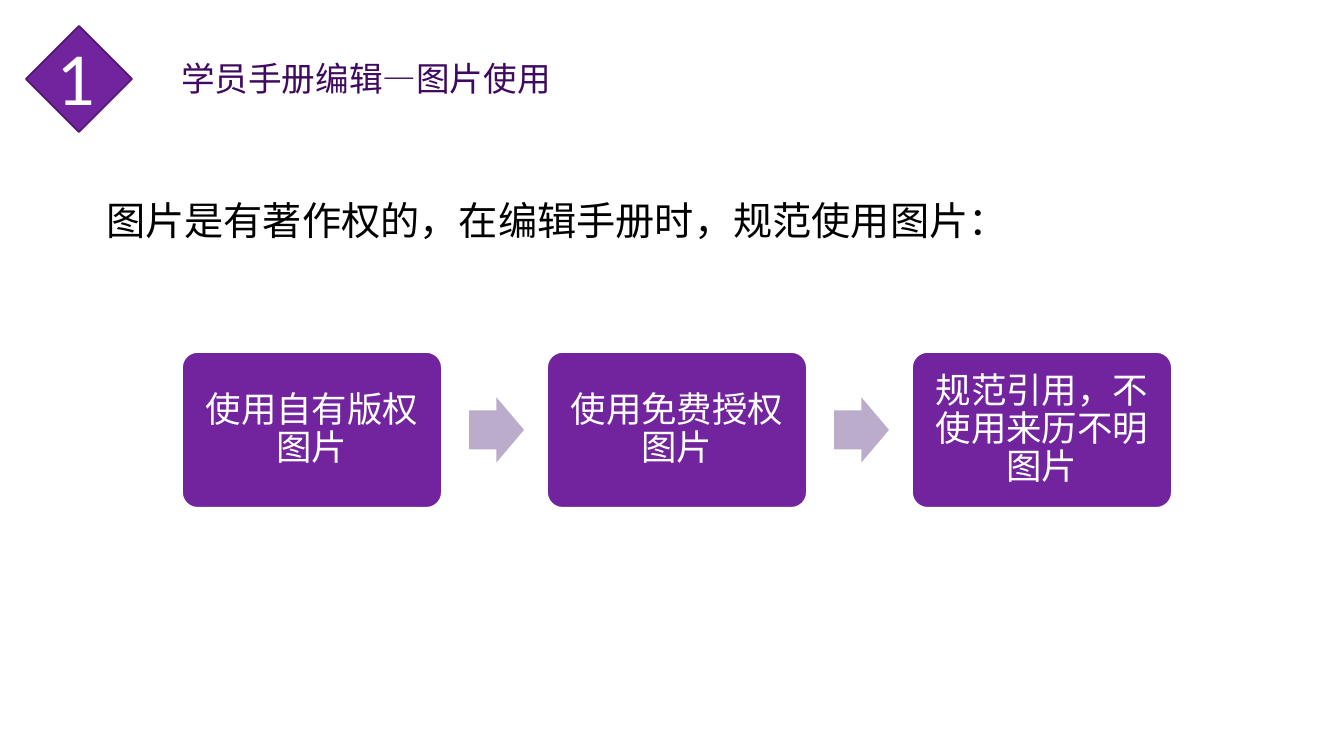
from dataclasses import dataclass

from lxml import etree
from pptx import Presentation
from pptx.dml.color import RGBColor
from pptx.enum.shapes import MSO_SHAPE
from pptx.enum.text import MSO_ANCHOR, PP_ALIGN
from pptx.oxml.ns import qn
from pptx.util import Emu, Pt

DIAMOND = MSO_SHAPE.DIAMOND
CARD = MSO_SHAPE.ROUNDED_RECTANGLE
ARROW = MSO_SHAPE.RIGHT_ARROW
TOP, MIDDLE = MSO_ANCHOR.TOP, MSO_ANCHOR.MIDDLE
LEFT, CENTER = PP_ALIGN.LEFT, PP_ALIGN.CENTER


@dataclass(frozen=True)
class Theme:
    purple: str = "72249E"
    outline: str = "541B75"
    title: str = "3E095E"
    arrow: str = "BCACCC"
    white: str = "FFFFFF"
    black: str = "000000"
    chinese_font: str = "Noto Sans CJK SC"
    body_font: str = "Roboto"
    number_font: str = "Lato"
    title_size: int = 18
    number_size: int = 36
    body_size: int = 21
    card_size: int = 19


THEME = Theme()
NUMBER = "1"
TITLE = "学员手册编辑—图片使用"
LEAD = "图片是有著作权的，在编辑手册时，规范使用图片："
STEPS = ["使用自有版权图片", "使用免费授权图片", "规范引用，不使用来历不明图片"]

SLIDE_WIDTH, SLIDE_HEIGHT = 1344, 756
CARD_LEFT, CARD_TOP, CARD_WIDTH, CARD_HEIGHT = 182, 352, 260, 156
CARD_PITCH = 365
ARROW_OFFSET, ARROW_WIDTH, ARROW_HEIGHT = 287, 55, 65
BOX_INSETS = (13, 7, 13, 7)


def px(value):
    return Emu(round(value * 914400 / 134.4))


def write(shape, text, size, color, font, insets, anchor=TOP, align=LEFT,
          line_spacing=1.0, space_before=0):
    frame = shape.text_frame
    frame.word_wrap = True
    frame.vertical_anchor = anchor
    (frame.margin_left, frame.margin_top,
     frame.margin_right, frame.margin_bottom) = map(px, insets)
    paragraph = frame.paragraphs[0]
    paragraph.alignment = align
    paragraph.line_spacing = line_spacing
    paragraph.space_before = Pt(space_before)
    run = paragraph.add_run()
    run.text = text
    run.font.size = Pt(size)
    run.font.name = font
    run.font.color.rgb = RGBColor.from_string(color)
    east_asian = etree.SubElement(run.font._element, qn("a:ea"))
    east_asian.set("typeface", THEME.chinese_font)


def add_text(slide, box, *content, **options):
    write(slide.shapes.add_textbox(*map(px, box)), *content, **options)


def add_block(slide, kind, box, fill, line=None, adjustments=()):
    shape = slide.shapes.add_shape(kind, *map(px, box))
    shape.shadow.inherit = False
    shape.fill.solid()
    shape.fill.fore_color.rgb = RGBColor.from_string(fill)
    if line:
        shape.line.color.rgb = RGBColor.from_string(line)
        shape.line.width = Pt(1)
    else:
        shape.line.fill.background()
    for index, value in enumerate(adjustments):
        shape.adjustments[index] = value
    return shape


def add_header(slide):
    add_text(slide, (181, 51, 491, 54), TITLE, THEME.title_size, THEME.title,
             THEME.chinese_font, (0, 0, 0, 0), anchor=MIDDLE)
    add_block(slide, DIAMOND, (26, 26, 106, 106), THEME.purple, THEME.outline)
    add_text(slide, (44, 31, 70, 95), NUMBER, THEME.number_size, THEME.white,
             THEME.number_font, BOX_INSETS)


def add_steps(slide):
    arrow_top = CARD_TOP + (CARD_HEIGHT - ARROW_HEIGHT) / 2
    for index, step in enumerate(STEPS):
        left = CARD_LEFT + index * CARD_PITCH
        card = add_block(slide, CARD, (left, CARD_TOP, CARD_WIDTH, CARD_HEIGHT),
                         THEME.purple, THEME.white, [0.1])
        write(card, step, THEME.card_size, THEME.white, THEME.body_font,
              (15, 15, 15, 15), anchor=MIDDLE, align=CENTER, line_spacing=0.9)
        if index < len(STEPS) - 1:
            box = (left + ARROW_OFFSET, arrow_top, ARROW_WIDTH, ARROW_HEIGHT)
            add_block(slide, ARROW, box, THEME.arrow, adjustments=[0.6, 0.5])


def main():
    presentation = Presentation()
    presentation.slide_width = px(SLIDE_WIDTH)
    presentation.slide_height = px(SLIDE_HEIGHT)
    slide = presentation.slides.add_slide(presentation.slide_layouts[6])
    add_header(slide)
    add_text(slide, (93, 195, 1158, 480), LEAD, THEME.body_size, THEME.black,
             THEME.body_font, BOX_INSETS, line_spacing=0.9, space_before=7.5)
    add_steps(slide)
    presentation.save("out.pptx")


if __name__ == "__main__":
    main()
